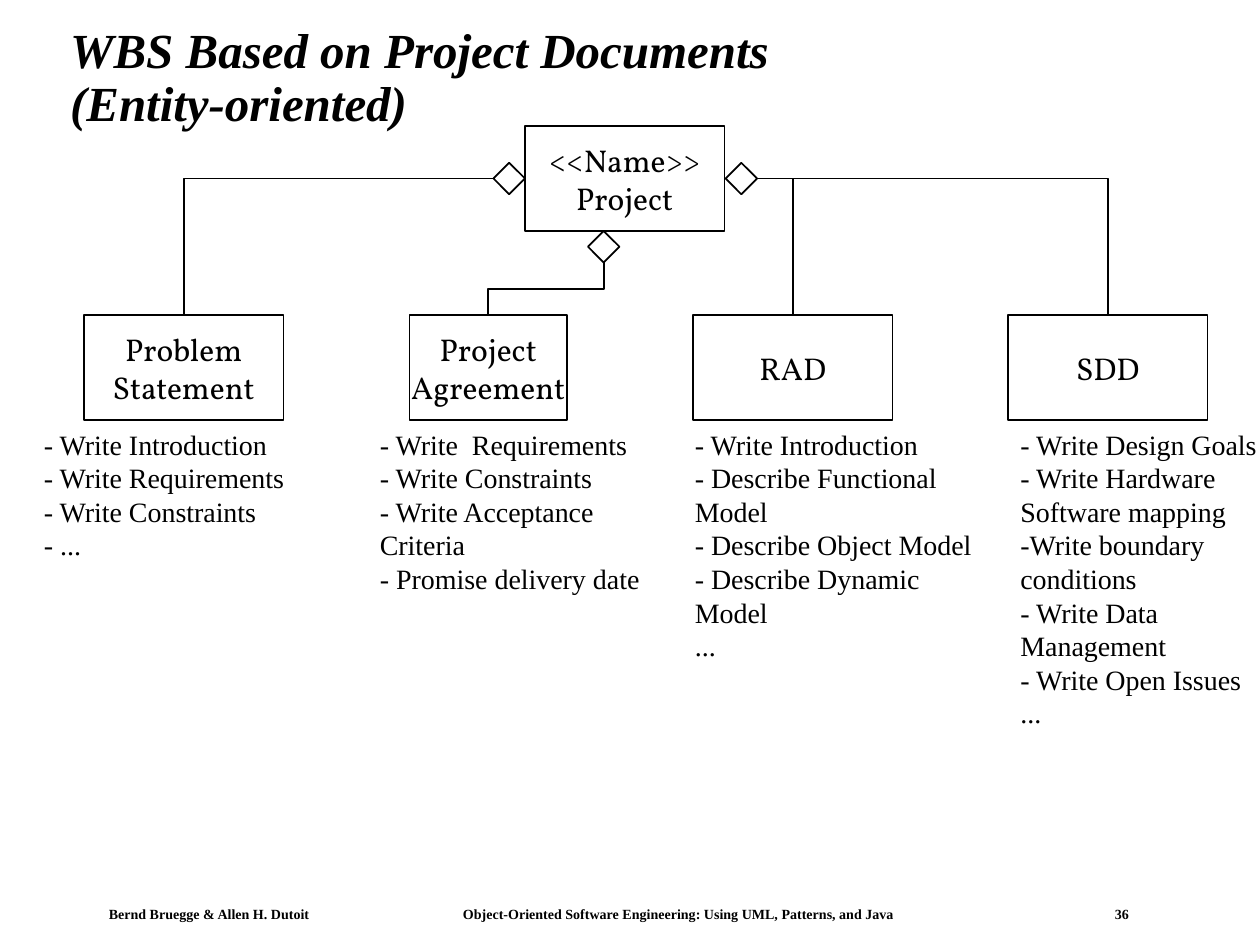
import pptx
import pptx.util
import pptx.dml.color
import pptx.enum.shapes
import pptx.enum.text
import pptx.oxml
import pptx.oxml.ns
from dataclasses import dataclass

Pt = pptx.util.Pt
Kind = pptx.enum.shapes.MSO_SHAPE
Align = pptx.enum.text.PP_ALIGN
Mid = pptx.enum.text.MSO_ANCHOR.MIDDLE


@dataclass(frozen=True)
class Theme:
    ink: pptx.dml.color.RGBColor = pptx.dml.color.RGBColor(0, 0, 0)
    paper: pptx.dml.color.RGBColor = pptx.dml.color.RGBColor(255, 255, 255)
    serif: str = "Times New Roman"
    label: str = "Vollkorn"
    head: int = 28
    node: int = 18
    item: int = 16
    foot: int = 8
    line: int = 1


@dataclass(frozen=True)
class Box:
    x: float
    y: float
    w: float
    h: float


theme = Theme()
COLS, ROWS = 120, 90
GEM = 3
TOP, LIST = 30, 40.1

DOCS = [
    (Box(8, TOP, 19, 10), "Problem\nStatement", Box(3, LIST, 32, 14),
     ["- Write Introduction", "- Write Requirements", "- Write Constraints", "- ..."]),
    (Box(39, TOP, 15, 10), "Project\nAgreement", Box(35, LIST, 31, 17.3),
     ["- Write  Requirements", "- Write Constraints", "- Write Acceptance Criteria",
      "- Promise delivery date"]),
    (Box(66, TOP, 19, 10), "RAD", Box(65, LIST, 29, 23.6),
     ["- Write Introduction", "- Describe Functional Model", "- Describe Object Model",
      "- Describe Dynamic Model", "..."]),
    (Box(96, TOP, 19, 10), "SDD", Box(96, LIST, 29, 30.1),
     ["- Write Design Goals", "- Write Hardware Software mapping",
      "-Write boundary conditions", "- Write Data Management",
      "- Write Open Issues", "..."]),
]


def grid(*nums):
    return [pptx.util.Inches(num * 10 / COLS) for num in nums]


def style(frame, size, face, align=Align.LEFT, bold=False, slant=False):
    for para in frame.paragraphs:
        para.alignment = align
        for run in para.runs:
            font = run.font
            font.size, font.name = Pt(size), face
            font.bold, font.italic = bold, slant
            font.color.rgb = theme.ink


def shape(slide, kind, box):
    item = slide.shapes.add_shape(kind, *grid(box.x, box.y, box.w, box.h))
    item.shadow.inherit = False
    item.fill.solid()
    item.fill.fore_color.rgb = theme.paper
    item.line.color.rgb = theme.ink
    item.line.width = Pt(theme.line)
    return item


def text(slide, box, words):
    frame = slide.shapes.add_textbox(*grid(box.x, box.y, box.w, box.h)).text_frame
    frame.word_wrap = True
    frame.text = words
    return frame


def title(slide, box):
    frame = text(slide, box, "")
    frame.vertical_anchor = Mid
    para = frame.paragraphs[0]
    para.text = "WBS Based on Project Documents\v(Entity-oriented)"
    para.line_spacing = 0.9
    style(frame, theme.head, theme.serif, bold=True, slant=True)


def node(slide, box, words):
    item = shape(slide, Kind.RECTANGLE, box)
    frame = item.text_frame
    frame.word_wrap = False
    frame.vertical_anchor = Mid
    frame.text = words
    style(frame, theme.node, theme.label, Align.CENTER)
    return item


def tasks(slide, box, items):
    style(text(slide, box, "\n".join(items)), theme.item, theme.serif)


def elbow(slide, start, end):
    wire = slide.shapes.add_connector(
        pptx.enum.shapes.MSO_CONNECTOR.ELBOW, *grid(*start, *end))
    wire.line.color.rgb = theme.ink
    wire.line.width = Pt(theme.line)
    pptx.oxml.ns.qn("a:effectLst")
    wire._element.spPr.append(pptx.oxml.parse_xml(
        "<a:effectLst %s/>" % pptx.oxml.ns.nsdecls("a")))
    return wire


def corner(slide, root, side, leaf, start, end):
    wire = elbow(slide, start, end)
    wire._element.spPr.prstGeom.set("prst", "bentConnector2")
    wire.begin_connect(root, side)
    wire.end_connect(leaf, 0)


def step(slide, start, end):
    midx, midy = (start[0] + end[0]) / 2, (start[1] + end[1]) / 2
    halfx, halfy = (end[1] - start[1]) / 2, (start[0] - end[0]) / 2
    wire = elbow(slide, (midx - halfx, midy - halfy), (midx + halfx, midy + halfy))
    wire._element.spPr.xfrm.set("rot", "5400000")


def tree(slide, box):
    root = node(slide, box, "<<Name>>\nProject")
    leaves = []
    for spot, words, area, items in DOCS:
        leaves.append(node(slide, spot, words))
        tasks(slide, area, items)
    mid, right, base = box.y + box.h / 2, box.x + box.w, box.y + box.h
    ends = [(spot.x + spot.w / 2, spot.y) for spot, *rest in DOCS]
    drop = box.x + 7.5
    for num, side, edge in [(0, 1, box.x), (2, 3, right), (3, 3, right)]:
        corner(slide, root, side, leaves[num], (edge, mid), ends[num])
    step(slide, (drop, base + GEM), ends[1])
    for x, y in [(box.x - GEM, mid - GEM / 2), (drop - GEM / 2, base),
                 (right + 0.1, mid - GEM / 2)]:
        shape(slide, Kind.DIAMOND, Box(x, y, GEM, GEM))


def footer(slide, box):
    frame = text(slide, box, "Bernd Bruegge & Allen H. Dutoit\t"
                 "Object-Oriented Software Engineering: Using UML, Patterns, and Java\t36")
    frame.margin_left = frame.margin_right = pptx.util.Inches(0.08)
    frame.margin_top = frame.margin_bottom = pptx.util.Inches(0.04)
    style(frame, theme.foot, theme.serif, bold=True)
    stops = "".join('<a:tab pos="%d" algn="l"/>' % spot
                    for spot in grid(box.w * 0.34, box.w * 0.966))
    frame.paragraphs[0]._p.get_or_add_pPr().append(pptx.oxml.parse_xml(
        "<a:tabLst %s>%s</a:tabLst>" % (pptx.oxml.ns.nsdecls("a"), stops)))


def main():
    deck = pptx.Presentation()
    deck.slide_width, deck.slide_height = grid(COLS, ROWS)
    slide = deck.slides.add_slide(deck.slide_layouts[6])
    slide.background.fill.solid()
    slide.background.fill.fore_color.rgb = theme.paper
    footer(slide, Box(9.4, 85.8, 99.2, 2.5))
    title(slide, Box(5.5, 2.9, 107, 9.2))
    tree(slide, Box(50, 12, 19, 10))
    deck.save("out.pptx")


if __name__ == "__main__":
    main()
